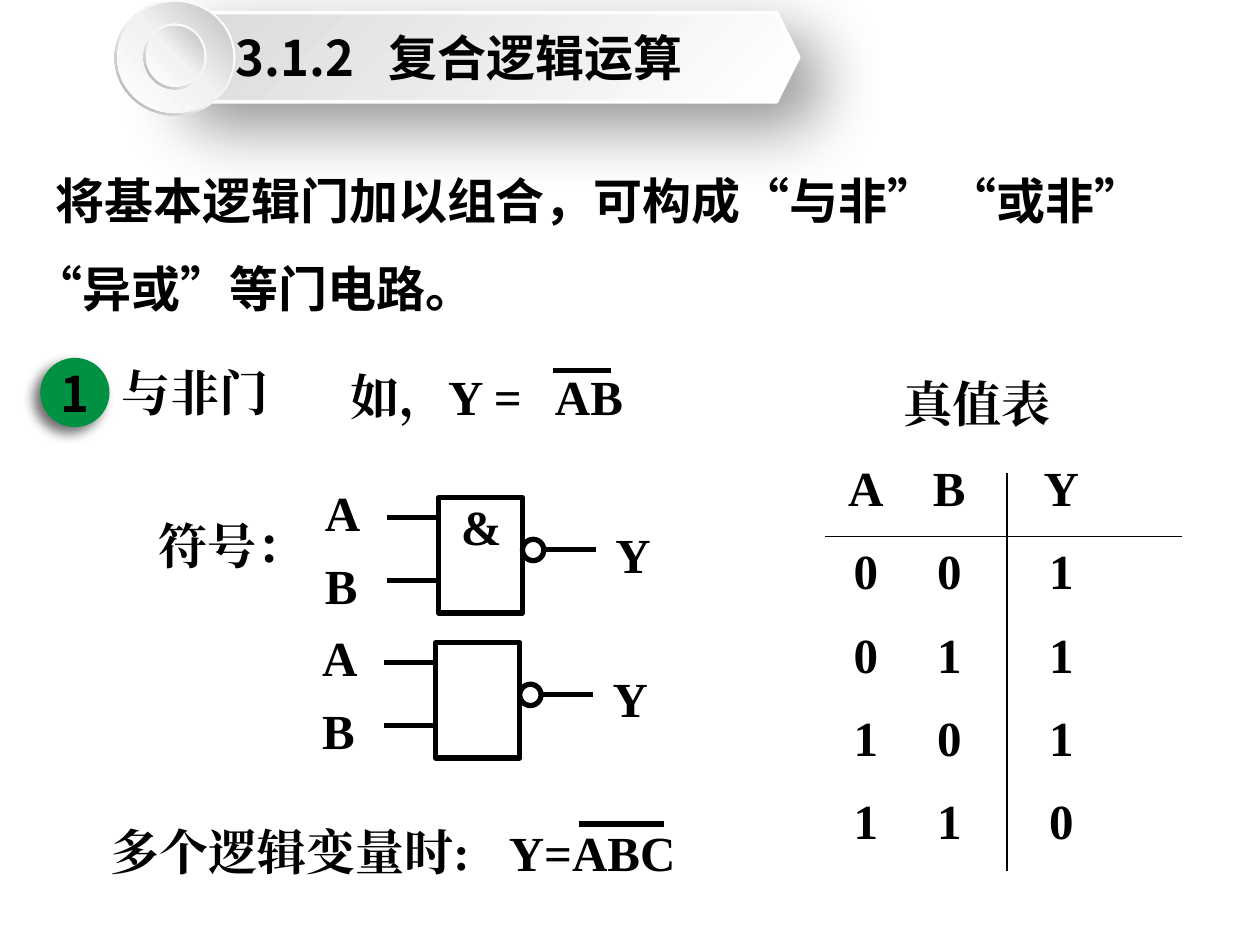
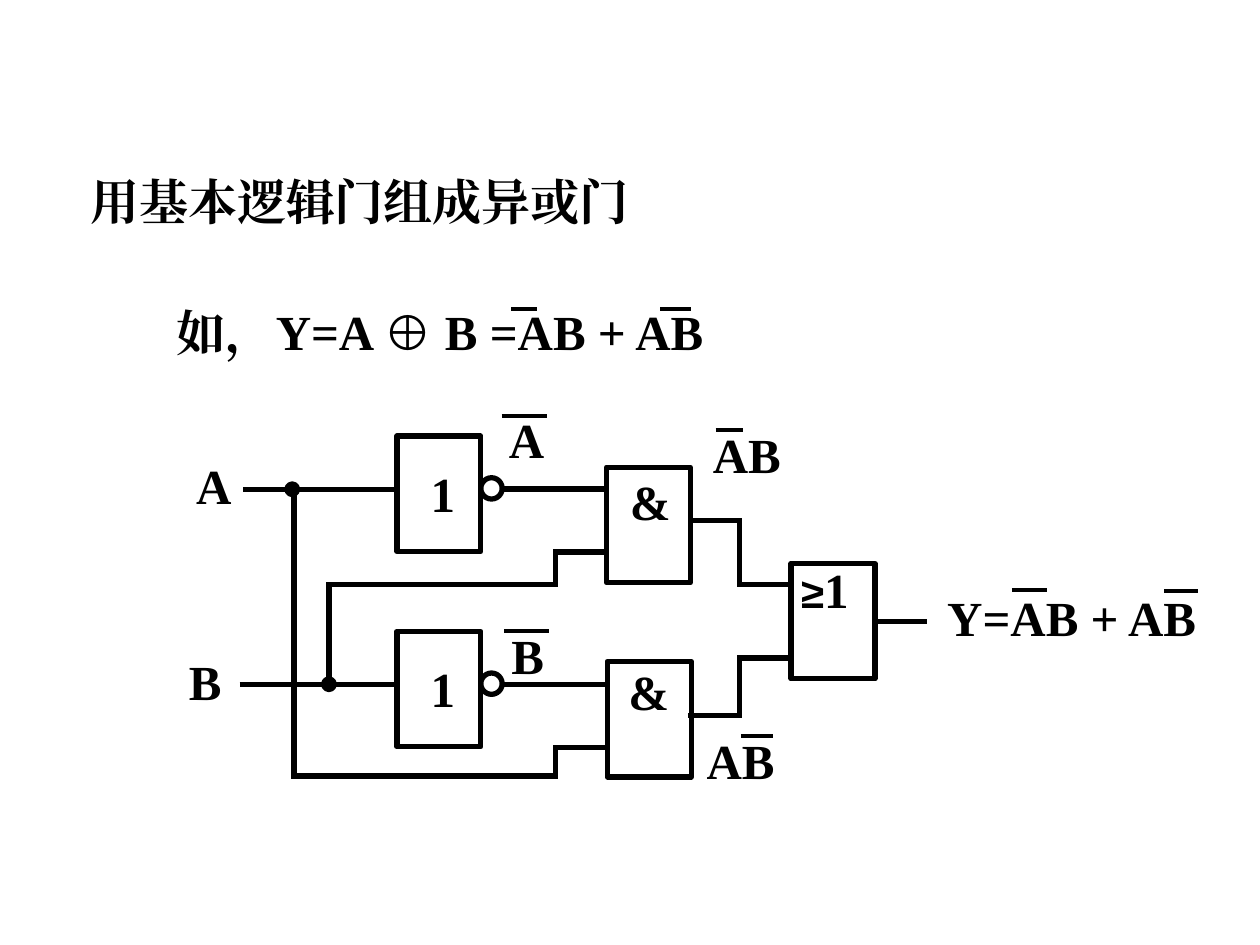
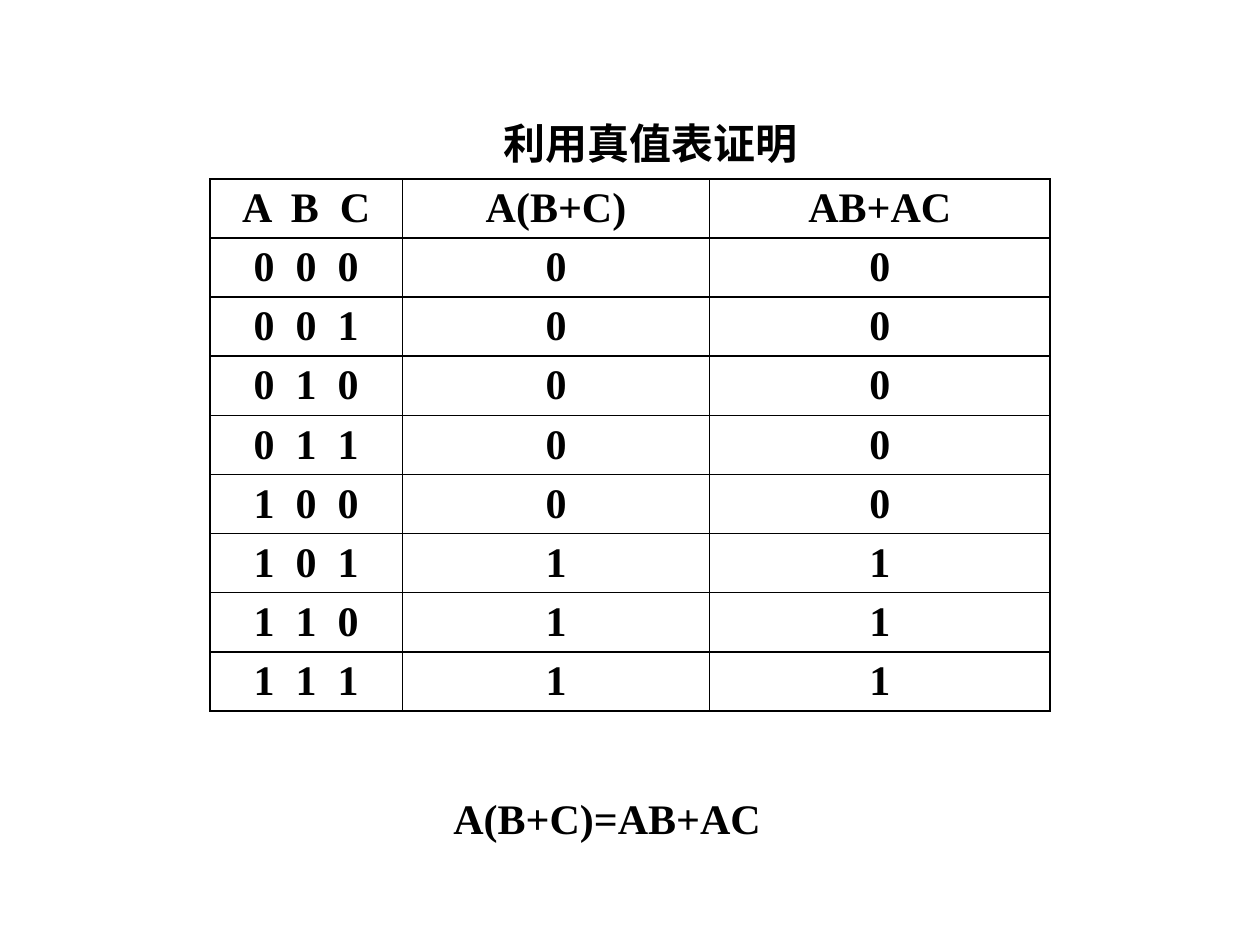
from itertools import pairwise, product

from lxml import etree
from pptx import Presentation
from pptx.dml.color import RGBColor
from pptx.enum.shapes import MSO_CONNECTOR as Connector, MSO_SHAPE as Shape
from pptx.enum.text import MSO_ANCHOR as Anchor, PP_ALIGN as Align
from pptx.oxml.ns import qn
from pptx.util import Pt

BLACK, WHITE, GREEN = "000000", "FFFFFF", "009242"
SERIF, SANS = "Times New Roman", "Noto Sans CJK SC"
SIZE = 28
GATE_WIDTH, GATE_HEIGHT, BUBBLE = 48, 66, 12.2
THICK, BAR, THIN = 3, 2.25, 0.75
RIM = [(0, WHITE), (55, "F2F2F2"), (100, "A6A6A6")]
DISC = [(0, WHITE), (51, "F2F2F2"), (100, "BFBFBF")]


def color(value):
    """Turn a hex string into a colour."""
    return RGBColor.from_string(value)


def child(parent, tag, **attributes):
    """Append a drawing element with the given attributes."""
    values = {key: str(value) for key, value in attributes.items()}
    return etree.SubElement(parent, qn(tag), values)


def style(span, size=SIZE, font=SERIF):
    """Give a run the bold black lettering of the deck."""
    span.font.size = Pt(size)
    span.font.bold = True
    span.font.name = font
    span.font.color.rgb = color(BLACK)
    child(span.font._element, "a:ea", typeface=font)


def add_tabs(para, stops, align="l"):
    """Set tab stops, in points from the text edge."""
    tabs = child(para._p.get_or_add_pPr(), "a:tabLst")
    for stop in stops:
        child(tabs, "a:tab", pos=Pt(stop), algn=align)


def add_text(page, left, top, width, text, size=SIZE, font=SERIF, height=41):
    """Add a wrapping text box and style its runs."""
    box = page.shapes.add_textbox(Pt(left), Pt(top), Pt(width), Pt(height))
    frame = box.text_frame
    frame.word_wrap = True
    frame.text = text
    for para in frame.paragraphs:
        for span in para.runs:
            style(span, size, font)
    return frame


def add_solid(page, kind, left, top, width, height, fill=WHITE, line=BLACK, weight=THICK):
    """Add a flat preset shape; without a line colour it has no outline."""
    shape = page.shapes.add_shape(kind, Pt(left), Pt(top), Pt(width), Pt(height))
    shape.shadow.inherit = False
    shape.fill.solid()
    shape.fill.fore_color.rgb = color(fill)
    if line:
        shape.line.color.rgb = color(line)
        shape.line.width = Pt(weight)
    else:
        shape.line.fill.background()
    return shape


def add_shadow(shape, alpha, blur, distance, angle):
    """Cast a black shadow; alpha is a percentage."""
    effects = shape._element.spPr.find(qn("a:effectLst"))
    shadow = child(effects, "a:outerShdw", blurRad=Pt(blur), dist=Pt(distance),
                   dir=angle * 60000, algn="ctr", rotWithShape=0)
    black = child(shadow, "a:srgbClr", val=BLACK)
    child(black, "a:alpha", val=alpha * 1000)


def add_gradient(shape, stops, angle):
    """Replace the solid fill by a linear gradient."""
    properties = shape._element.spPr
    gradient = etree.Element(qn("a:gradFill"), rotWithShape="1")
    stop_list = child(gradient, "a:gsLst")
    for position, value in stops:
        stop = child(stop_list, "a:gs", pos=position * 1000)
        child(stop, "a:srgbClr", val=value)
    child(gradient, "a:lin", ang=angle * 60000, scaled=0)
    properties.replace(properties.find(qn("a:solidFill")), gradient)


def add_wire(page, *points, weight=THICK):
    """Join the points by straight lines with closed corners."""
    for start, end in pairwise(points):
        line = page.shapes.add_connector(
            Connector.STRAIGHT, *(Pt(value) for value in (*start, *end)))
        line.line.color.rgb = color(BLACK)
        line.line.width = Pt(weight)
        if len(points) > 2:
            line.line._get_or_add_ln().set("cap", "sq")
        child(line._element.spPr, "a:effectLst")


def add_bar(page, left, right, top, weight=BAR):
    """Draw a negation bar."""
    add_wire(page, (left, top), (right, top), weight=weight)


def add_gate(page, left, top):
    """Draw the body of a logic gate."""
    add_solid(page, Shape.RECTANGLE, left, top, GATE_WIDTH, GATE_HEIGHT)


def add_bubble(page, left, top):
    """Draw the negation circle at the output of a gate."""
    add_solid(page, Shape.OVAL, left + GATE_WIDTH, top + 23.8, BUBBLE, BUBBLE)


def add_nand(page, left, top):
    """Draw a NAND symbol with its leads and letters."""
    add_gate(page, left, top)
    for lead in (11.5, 47.5):
        add_wire(page, (left - 29.5, top + lead), (left, top + lead))
    output = left + GATE_WIDTH + BUBBLE
    add_wire(page, (output, top + 29.8), (output + 29.8, top + 29.8))
    add_bubble(page, left, top)
    for letter, across, down in (("A", -72, -12), ("B", -72, 29.5), ("Y", 94, 11.5)):
        add_text(page, left + across, top + down, 48, letter)


def add_inverter(page, left, top, target):
    """Draw an inverter wired to the next gate at target."""
    add_gate(page, left, top)
    add_text(page, left + 12.2, top + 12, 32, "1")
    add_wire(page, (left + 55, top + 30.2), (target, top + 30.2))
    add_bubble(page, left, top)


def add_disc(page, left, top, width, height):
    """Draw a grey disc with a thin rim."""
    rim = add_solid(page, Shape.DONUT, left, top, width, height, line=None)
    rim.adjustments[0] = 0.049
    add_gradient(rim, RIM, 135)
    disc = add_solid(page, Shape.OVAL, left + 1.4, top + 1.4, width - 2.8, height - 2.8, line=None)
    add_gradient(disc, DISC, 315)


def add_section_title(page, number, title):
    """Draw the section banner with its disc."""
    banner = add_solid(page, Shape.HEXAGON, 88.5, 7.2, 368, 51, line=WHITE, weight=2)
    add_gradient(banner, [(0, WHITE), (100, "D9D9D9")], 225)
    add_shadow(banner, 42, 38, 19, 45)
    add_disc(page, 65.5, 0, 69, 66)
    add_disc(page, 82, 13.5, 36, 37.5)
    frame = add_text(page, 127.5, 7.2, 300, f"{number}\t{title}", font=SANS, height=51)
    frame.vertical_anchor = Anchor.MIDDLE
    add_tabs(frame.paragraphs[0], [87.5])


def add_badge(page, left, top, number):
    """Draw a green numbered circle."""
    badge = add_solid(page, Shape.OVAL, left, top, 39.6, 39.6, fill=GREEN, line=None)
    add_shadow(badge, 57, 7, 5, 135)
    frame = badge.text_frame
    frame.margin_left = frame.margin_right = frame.margin_top = frame.margin_bottom = 0
    frame.vertical_anchor = Anchor.MIDDLE
    frame.text = number
    frame.paragraphs[0].alignment = Align.CENTER
    style(frame.paragraphs[0].runs[0], font=SANS)


def add_truth_list(page, left, top, title, rows):
    """Write a truth table in tabbed columns with two rules."""
    lines = [title, *("\t".join(row) for row in rows)]
    text = "\n".join("\t" + line for line in lines)
    frame = add_text(page, left, top, 216, text, height=296)
    for index, para in enumerate(frame.paragraphs):
        add_tabs(para, [28.3, 76, 140] if index else [92], "ctr")
        if index:
            para.space_before = Pt(14)
    add_wire(page, (471.5, 306.5), (675.5, 306.5), weight=THIN)
    add_wire(page, (575.5, 270.5), (575.5, 498), weight=THIN)


def fill_cell(cell, text, spacing=0):
    """Write a centred table cell with thin black borders."""
    cell.text = text
    cell.vertical_anchor = Anchor.MIDDLE
    cell.margin_top = cell.margin_bottom = Pt(2)
    para = cell.text_frame.paragraphs[0]
    para.alignment = Align.CENTER
    span = para.runs[0]
    style(span, 24)
    if spacing:
        span.font._element.set("spc", str(spacing * 100))
    properties = cell._tc.get_or_add_tcPr()
    for side in "LRTB":
        border = child(properties, f"a:ln{side}", w=Pt(1))
        child(child(border, "a:solidFill"), "a:srgbClr", val=BLACK)
    cell.fill.solid()
    cell.fill.fore_color.rgb = color(WHITE)


def add_proof_table(page, left, top, widths, row_height, rows):
    """Add the truth table; the first column is letterspaced."""
    table = page.shapes.add_table(
        len(rows), len(widths), Pt(left), Pt(top), Pt(sum(widths)), Pt(row_height * len(rows))).table
    table.first_row = table.horz_banding = False
    for column, width in zip(table.columns, widths):
        column.width = Pt(width)
    for index, row in enumerate(rows):
        table.rows[index].height = Pt(row_height)
        for place, text in enumerate(row):
            fill_cell(table.cell(index, place), text, spacing=0 if place else 3)


def build_nand_page(page):
    """Explain the NAND gate."""
    add_section_title(page, "3.1.2", "复合逻辑运算")
    intro = add_text(page, 12.2, 77, 677, "将基本逻辑门加以组合，可构成“与非” “或非” “异或”等门电路。",
                     font=SANS, height=101).paragraphs[0]
    intro.line_spacing = 1.5
    intro._p.get_or_add_pPr().set("indent", str(Pt(12.5)))

    rows = ["ABY"] + [f"{a}{b}{1 - a * b}" for a, b in product((0, 1), repeat=2)]
    add_truth_list(page, 459.4, 210.2, "真值表", rows)

    add_text(page, 83.5, 291, 100, "符号：")
    add_nand(page, 250.6, 284.4)
    add_text(page, 256.3, 280, 48, "&")
    add_nand(page, 249, 367.2)

    add_badge(page, 23, 204.5, "1")
    add_text(page, 62.6, 203.8, 110, "与非门")
    formula = add_text(page, 193, 206, 190, "如，Y =\tAB")
    add_tabs(formula.paragraphs[0], [117])
    add_bar(page, 316, 349, 211.7, THICK)
    add_text(page, 56.2, 465.8, 227.5, "多个逻辑变量时:")
    add_text(page, 283.7, 466.6, 124, "Y=ABC")
    add_bar(page, 331, 379.5, 470.9, THICK)


def build_xor_page(page):
    """Compose an XOR gate from basic gates."""
    add_text(page, 44.6, 94.3, 330, "用基本逻辑门组成异或门")
    add_text(page, 93.6, 169.2, 80, "如，")

    add_inverter(page, 226.8, 249.2, 346.5)
    add_inverter(page, 226.8, 360.8, 346.5)
    for left, top in ((346.5, 267), (347, 378), (452, 322)):
        add_gate(page, left, top)
    add_text(page, 352.8, 265.7, 48, "&")
    add_text(page, 352, 374.4, 48, "&")
    threshold = add_text(page, 450.7, 316, 66, "≥", size=24, font="Arial")
    one = threshold.paragraphs[0].add_run()
    one.text = "1"
    style(one)

    wires = [
        [(139, 279.6), (226.8, 279.6)],
        [(137, 391), (226.8, 391)],
        [(188, 391), (188, 334), (317.5, 334), (317.5, 315.5), (346.5, 315.5)],
        [(168, 279.6), (168, 443.5), (317.5, 443.5), (317.5, 427), (347, 427)],
        [(394.5, 297.5), (422.7, 297.5), (422.7, 334), (452, 334)],
        [(394.5, 409), (422.7, 409), (422.7, 376), (452, 376)],
        [(500, 355), (530, 355)],
    ]
    for points in wires:
        add_wire(page, *points)
    for across, down in ((188, 391), (167, 279.6)):
        add_solid(page, Shape.OVAL, across - 3, down - 3, 6, 6, fill=BLACK)

    labels = [
        (105, 257, 44, "A"), (100.8, 368.6, 44, "B"),
        (150.5, 168.5, 292, "Y=A ⊕ B =AB + AB"),
        (283.7, 230.4, 42, "A"), (285.1, 354.2, 44, "B"),
        (400.3, 239, 77, "AB"), (396.7, 414, 60, "AB"),
        (534.2, 332, 170, "Y=AB + AB"),
    ]
    for label in labels:
        add_text(page, *label)
    bars = [
        (292.3, 306.7, 176.4), (377.3, 394.6, 176.4), (286.6, 312.5, 237.6),
        (288, 314, 360.7), (409, 424.8, 245.5), (423.4, 442, 420.5),
        (578.2, 598.3, 337.2), (665.3, 684.7, 337.7),
    ]
    for bar in bars:
        add_bar(page, *bar)


def build_proof_page(page):
    """Prove the distributive law by a truth table."""
    rows = [("A B C", "A(B+C)", "AB+AC")]
    for a, b, c in product((0, 1), repeat=3):
        rows.append((f"{a} {b} {c}", str(a & (b | c)), str(a & b | a & c)))
    add_proof_table(page, 120, 102.2, [110, 175.5, 194.5], 33.8, rows)
    add_text(page, 252, 449.3, 200, "A(B+C)=AB+AC", size=24, height=36)
    add_text(page, 280.8, 63.4, 190, "利用真值表证明", size=24, font="Calibri", height=36)


def main():
    """Build the deck and save it."""
    deck = Presentation()
    deck.slide_width, deck.slide_height = Pt(720), Pt(540)
    for build in (build_nand_page, build_xor_page, build_proof_page):
        build(deck.slides.add_slide(deck.slide_layouts[6]))
    deck.save("out.pptx")


if __name__ == "__main__":
    main()
